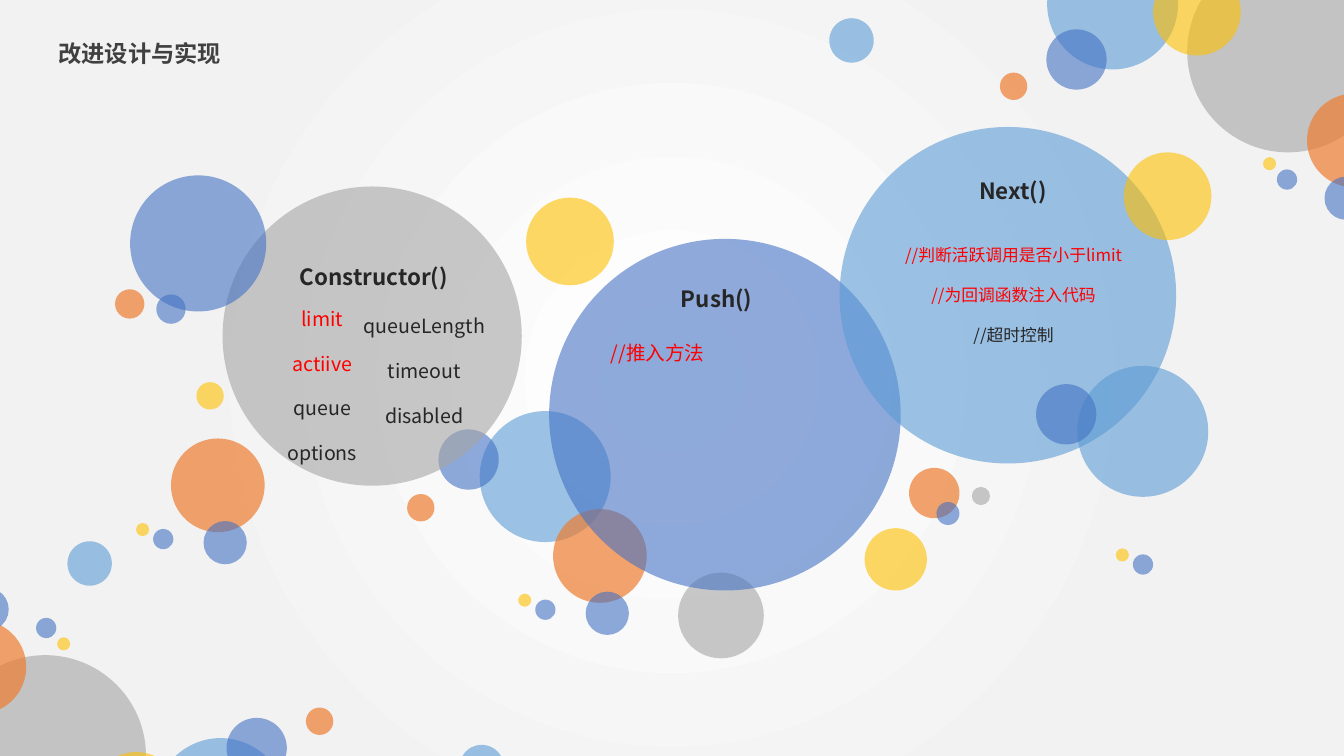
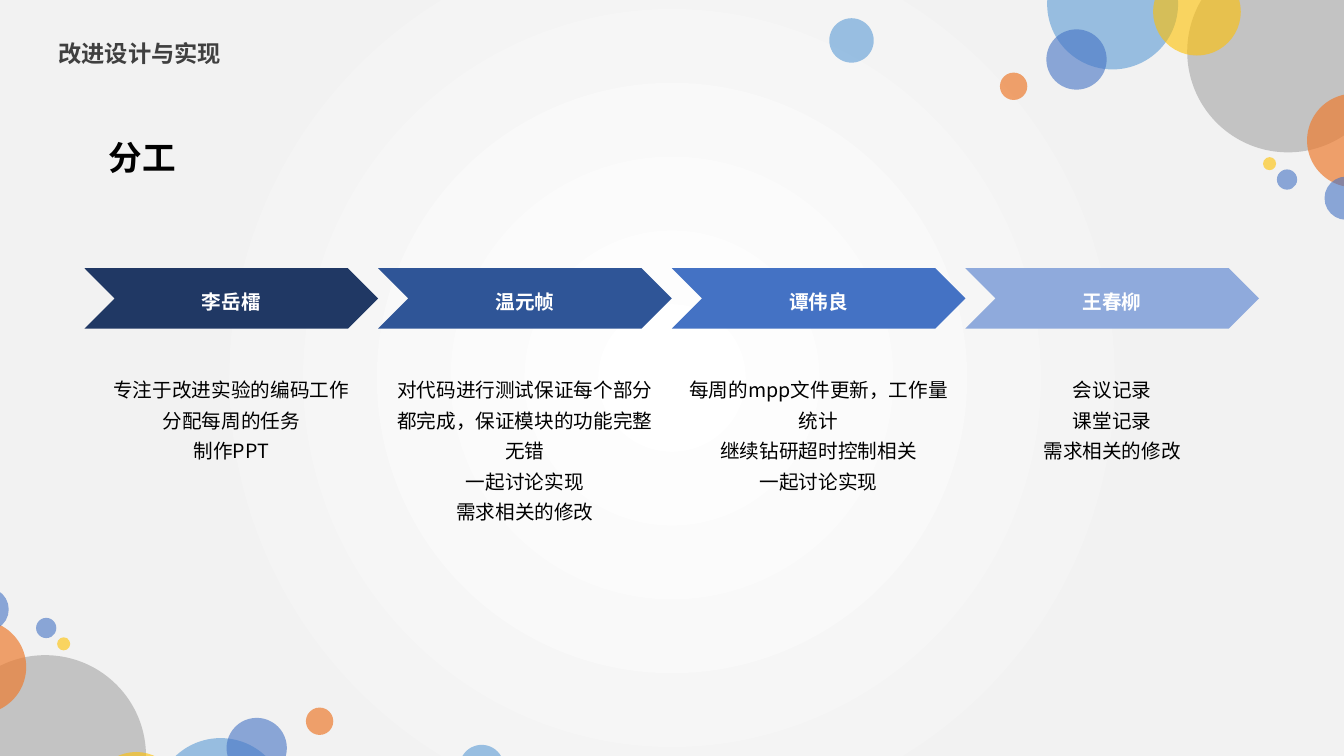
"""Build two slides on the improved design and on who does what."""
from lxml.etree import SubElement
from pptx import Presentation
from pptx.dml.color import RGBColor
from pptx.enum.shapes import MSO_SHAPE
from pptx.enum.text import MSO_ANCHOR, MSO_AUTO_SIZE, PP_ALIGN
from pptx.oxml import parse_xml
from pptx.oxml.ns import nsdecls, qn
from pptx.util import Cm, Pt

WHITE = RGBColor(0xFF, 0xFF, 0xFF)
MIST = RGBColor(0xF2, 0xF2, 0xF2)
BLACK = RGBColor(0x00, 0x00, 0x00)
INK = RGBColor(0x26, 0x26, 0x26)
SLATE = RGBColor(0x40, 0x40, 0x40)
RED = RGBColor(0xFF, 0x00, 0x00)
SKY = RGBColor(0x5B, 0x9B, 0xD5)
GRAY = RGBColor(0xA5, 0xA5, 0xA5)
GOLD = RGBColor(0xFF, 0xC0, 0x00)
BLUE = RGBColor(0x44, 0x72, 0xC4)
ORANGE = RGBColor(0xED, 0x7D, 0x31)
NAVY = RGBColor(0x20, 0x38, 0x64)
ROYAL = RGBColor(0x2F, 0x55, 0x97)
PALE = RGBColor(0x8F, 0xAA, 0xDC)

FONT = "Noto Sans CJK SC"
LEFT, MID = PP_ALIGN.LEFT, PP_ALIGN.CENTER
TITLE = "改进设计与实现"

CORNER = [
    (SKY, 26.39, -1.55, 3.3),
    (GRAY, 29.92, -1.24, 5.08),
    (GOLD, 29.06, -0.81, 2.21),
    (BLUE, 26.37, 0.74, 1.52),
    (ORANGE, 32.94, 2.36, 2.36),
    (ORANGE, 25.2, 1.83, 0.69),
    (BLUE, 33.38, 4.45, 1.09),
    (BLUE, 32.18, 4.27, 0.51),
    (GOLD, 31.83, 3.96, 0.33),
    (SKY, 20.9, 0.46, 1.12),
]
TURNED = [(tint, 33.6 - x - size, 20.35 - y - size, size)
          for tint, x, y, size in CORNER]
LARGE = [(SKY, 12.09, 10.36, 3.3), (GOLD, 13.26, 4.98, 2.21),
         (BLUE, 11.05, 10.82, 1.52)]
PAIR = [(ORANGE, 13.94, 12.83, 2.36), (BLUE, 14.76, 14.91, 1.09)]
SMALL = [(BLUE, 13.49, 15.11, 0.51), (GOLD, 13.06, 14.96, 0.33)]
LOOSE = [
    (ORANGE, 10.26, 12.45, 0.69),
    (GRAY, 17.09, 14.43, 2.16),
    (SKY, 1.7, 13.64, 1.12),
    (ORANGE, 22.91, 11.79, 1.27),
    (GOLD, 21.79, 13.31, 1.57),
    (BLUE, 23.6, 12.65, 0.58),
    (GRAY, 24.49, 12.27, 0.46),
]
WEST = [
    (GOLD, 4.95, 9.63, 0.69),
    (BLUE, 3.28, 4.42, 3.43),
    (BLUE, 3.94, 7.42, 0.74),
    (ORANGE, 2.9, 7.29, 0.74),
]
TASKS = [
    (NAVY, "李岳檑", ["专注于改进实验的编码工作", "分配每周的任务", "制作PPT"]),
    (ROYAL, "温元帧", ["对代码进行测试保证每个部分都完成，保证模块的功能完整无错",
                    "一起讨论实现", "需求相关的修改"]),
    (BLUE, "谭伟良", ["每周的mpp文件更新，工作量统计", "继续钻研超时控制相关",
                   "一起讨论实现"]),
    (PALE, "王春柳", ["会议记录", "课堂记录", "需求相关的修改"]),
]


class Deck:
    """Hold the shared style and the current slide."""

    def __init__(self):
        """Set the slide size and dress the shared layout."""
        self.show = Presentation()
        self.show.slide_width = Cm(33.87)
        self.show.slide_height = Cm(19.05)
        self.base = self.show.slide_layouts[5]
        for holder in list(self.base.placeholders)[1:]:
            holder.element.getparent().remove(holder.element)
        self.glow()

    def glow(self):
        """Give the layout a round gradient."""
        stops = "".join(
            f'<a:gs pos="{spot}"><a:srgbClr val="{tint}"/></a:gs>'
            for spot, tint in [(0, WHITE), (67000, MIST), (100000, MIST)])
        self.base.element.cSld.insert(0, parse_xml(
            f'<p:bg {nsdecls("p", "a")}><p:bgPr><a:gradFill rotWithShape="1">'
            f'<a:gsLst>{stops}</a:gsLst><a:path path="circle">'
            '<a:fillToRect l="50000" t="50000" r="50000" b="50000"/>'
            '</a:path></a:gradFill><a:effectLst/></p:bgPr></p:bg>'))

    def page(self, title):
        """Start a slide with its title."""
        self.slide = self.show.slides.add_slide(self.base)
        head = self.slide.shapes.title
        head.left, head.top = Cm(1.22), Cm(0.71)
        head.width, head.height = Cm(9.45), Cm(1.12)
        head.text_frame.auto_size = MSO_AUTO_SIZE.NONE
        head.text_frame.vertical_anchor = MSO_ANCHOR.TOP
        self.label(head, [(SLATE, title)], 16.6, True, LEFT, 1.2, 10)

    def shape(self, kind, tint, x, y, wide, high):
        """Add a flat shape without outline."""
        form = self.slide.shapes.add_shape(
            kind, Cm(x), Cm(y), Cm(wide), Cm(high))
        form.shadow.inherit = False
        form.fill.solid()
        form.fill.fore_color.rgb = tint
        form.line.fill.background()
        return form

    def dots(self, rows, dx=0, dy=0):
        """Add sheer circles, all moved by the same shift."""
        made = []
        for tint, x, y, size in rows:
            dot = self.shape(MSO_SHAPE.OVAL, tint, x + dx, y + dy, size, size)
            clear = 70000 if tint == ORANGE else 60000
            mark = dot.element.spPr.find(f'.//{qn("a:srgbClr")}')
            SubElement(mark, qn("a:alpha"), val=str(clear))
            made.append(dot)
        return made

    def share(self, rows):
        """Put circles on the layout, behind every slide."""
        for dot in self.dots(rows):
            self.base.shapes.element.append(dot.element)

    def label(self, form, parts, size, bold, align, lead, gap):
        """Fill a shape with groups of lines, each led by its colour."""
        frame = form.text_frame
        frame.word_wrap = True
        lines = [(tint, word) for tint, *words in parts for word in words]
        for spot, (tint, word) in enumerate(lines):
            para = frame.add_paragraph() if spot else frame.paragraphs[0]
            para.alignment = align
            para.line_spacing = lead
            para.space_before = Pt(gap)
            run = para.add_run()
            run.text = word
            font = run.font
            font.name, font.size, font.bold = FONT, Pt(size), bold
            font.color.rgb = tint
        for mark in form.element.iter(qn("a:rPr")):
            SubElement(mark, qn("a:ea"), typeface=FONT)

    def text(self, x, y, wide, high, parts, size=14, bold=False, align=MID,
             lead=1.3, gap=10):
        """Add a text box."""
        box = self.slide.shapes.add_textbox(Cm(x), Cm(y), Cm(wide), Cm(high))
        self.label(box, parts, size, bold, align, lead, gap)

    def name(self, x, y, wide, word):
        """Add the bold name of a function."""
        self.text(x, y, wide, 1.04, [(INK, word)], 16, True)

    def arrow(self, tint, x, y, wide, high, word):
        """Add a chevron with a centred label."""
        form = self.shape(MSO_SHAPE.CHEVRON, tint, x, y, wide, high)
        form.text_frame.vertical_anchor = MSO_ANCHOR.MIDDLE
        self.label(form, [(WHITE, word)], 14, True, MID, 1.3, 0)


deck = Deck()
deck.page(TITLE)
deck.share(CORNER + TURNED)
deck.dots(LARGE + PAIR + SMALL + LOOSE)

deck.dots([(GRAY, 5.61, 4.7, 7.54)])
deck.text(5, 7.44, 6.25, 4.88,
          [(RED, "limit", "actiive"), (INK, "queue", "options")])
deck.text(7.57, 7.62, 6.25, 4.88,
          [(INK, "queueLength", "timeout", "disabled")])
deck.name(5.97, 6.3, 6.91, "Constructor()")

deck.dots([(BLUE, 13.84, 6.02, 8.86)])
deck.text(15.14, 8.28, 7.09, 3.56, [(RED, "//推入方法")], align=LEFT)
deck.name(14.53, 6.86, 7.06, "Push()")

deck.dots(PAIR + SMALL, -9.63, -1.78)
deck.dots(WEST)

deck.dots([(SKY, 21.16, 3.2, 8.48)])
deck.text(22, 5.89, 7.09, 3.56,
          [(RED, "//判断活跃调用是否小于limit", "//为回调函数注入代码"),
           (INK, "//超时控制")], 12)
deck.name(22, 4.14, 7.06, "Next()")
deck.dots(LARGE + SMALL, 15.06, -1.14)

deck.page(TITLE)
deck.text(2.49, 3.33, 6.71, 1.27, [(BLACK, "分工")], 24, True, LEFT, 1, 0)
for rank, (tint, who, jobs) in enumerate(TASKS):
    x = 2.13 + 7.4 * rank
    deck.arrow(tint, x, 6.76, 7.4, 1.52, who)
    deck.text(x + 0.07, 9.22, 7.26, 3.07, [(BLACK, *jobs)], gap=0)

deck.show.save("out.pptx")
